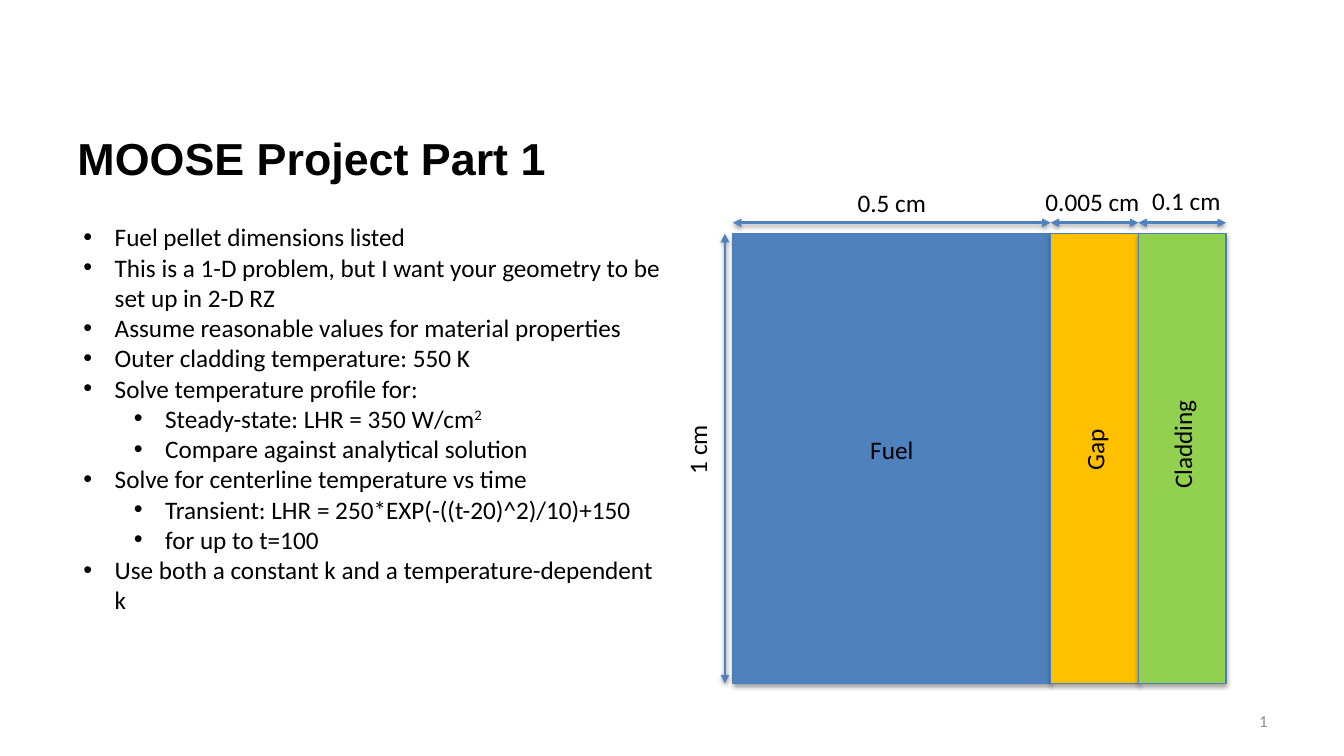
from dataclasses import dataclass

from lxml import etree
from pptx import Presentation
from pptx.dml.color import RGBColor
from pptx.enum.shapes import MSO_CONNECTOR, MSO_SHAPE
from pptx.enum.text import MSO_ANCHOR, PP_ALIGN
from pptx.oxml import parse_xml
from pptx.oxml.ns import nsdecls, qn
from pptx.util import Pt

PX = 9144
RECT = MSO_SHAPE.RECTANGLE
LINE = MSO_CONNECTOR.STRAIGHT
LEFT, CENTER, RIGHT = PP_ALIGN.LEFT, PP_ALIGN.CENTER, PP_ALIGN.RIGHT
TOP, MIDDLE = MSO_ANCHOR.TOP, MSO_ANCHOR.MIDDLE


@dataclass(frozen=True)
class Theme:
    ink: str = "000000"
    muted: str = "8C8C8C"
    fuel: str = "4F81BD"
    gap: str = "FFC000"
    clad: str = "92D050"
    edge: str = "4B7EBC"
    head: str = "Arial"
    body: str = "Calibri"
    title: int = 32
    text: int = 18
    small: int = 12


THEME = Theme()
POINTS = (
    (0, "Fuel pellet dimensions listed"),
    (0, "This is a 1-D problem, but I want your geometry to be set up in 2-D RZ"),
    (0, "Assume reasonable values for material properties"),
    (0, "Outer cladding temperature: 550 K"),
    (0, "Solve temperature profile for:"),
    (1, "Steady-state: LHR = 350 W/cm", "2"),
    (1, "Compare against analytical solution"),
    (0, "Solve for centerline temperature vs time"),
    (1, "Transient: LHR = 250*EXP(-((t-20)^2)/10)+150"),
    (1, "for up to t=100"),
    (0, "Use both a constant k and a temperature-dependent k"),
)
LAYERS = (
    ("Fuel", 315, THEME.fuel, 0, 426, "0.5 cm", 0, 181),
    ("Gap", 87, THEME.gap, 270, 426, "0.005 cm", -2, 180),
    ("Cladding", 87, THEME.clad, 270, 421, "0.1 cm", 4, 179),
)
WALL_X, WALL_Y, WALL_H = 727, 232, 446
LABEL_W, LABEL_H = 179, 40


def px(*sizes):
    return [size * PX for size in sizes]


def color(code):
    return RGBColor.from_string(code)


def write(para, text, size=THEME.text, face=THEME.body, ink=THEME.ink,
          bold=False, base=0):
    run = para.add_run()
    run.text = text
    font = run.font
    font.size, font.name, font.bold = Pt(size), face, bold
    font.color.rgb = color(ink)
    if base:
        font._element.set("baseline", str(base * 1000))


def add_box(slide, box, anchor=TOP, turn=0):
    shape = slide.shapes.add_textbox(*px(*box))
    shape.rotation = turn
    frame = shape.text_frame
    frame.word_wrap = True
    frame.vertical_anchor = anchor
    return frame


def add_text(slide, text, box, align=LEFT, anchor=TOP, turn=0, **style):
    para = add_box(slide, box, anchor, turn).paragraphs[0]
    para.alignment = align
    write(para, text, **style)


def add_label(slide, text, mid, top, turn=0):
    box = (round(mid - LABEL_W / 2), top, LABEL_W, LABEL_H)
    add_text(slide, text, box, align=CENTER, turn=turn)


def add_list(slide, points, box):
    frame = add_box(slide, box)
    for row, (level, text, *power) in enumerate(points):
        para = frame.add_paragraph() if row else frame.paragraphs[0]
        para.level = level
        props = para._p.get_or_add_pPr()
        left, hang = px(31 + 50 * level, -31)
        props.set("marL", str(left))
        props.set("indent", str(hang))
        etree.SubElement(props, qn("a:buFont"), typeface=THEME.head)
        etree.SubElement(props, qn("a:buChar"), char="•")
        write(para, text)
        for mark in power:
            write(para, mark, base=30)


def add_shade(shape, alpha, dist):
    shape._element.spPr.append(parse_xml(
        f'<a:effectLst {nsdecls("a")}>'
        f'<a:outerShdw blurRad="{Pt(3.1)}" dist="{Pt(dist)}" dir="5400000" '
        'rotWithShape="0"><a:srgbClr val="000000">'
        f'<a:alpha val="{alpha * 1000}"/></a:srgbClr>'
        '</a:outerShdw></a:effectLst>'))


def add_layer(slide, box, fill):
    shape = slide.shapes.add_shape(RECT, *px(*box))
    shape.fill.solid()
    shape.fill.fore_color.rgb = color(fill)
    shape.line.color.rgb = color(THEME.edge)
    shape.line.width = Pt(0.75)
    add_shade(shape, 35, 1.8)


def add_span(slide, *ends):
    span = slide.shapes.add_connector(LINE, *px(*ends))
    span.line.color.rgb = color(THEME.fuel)
    span.line.width = Pt(2)
    stroke = span.line._get_or_add_ln()
    for tag in ("a:headEnd", "a:tailEnd"):
        etree.SubElement(stroke, qn(tag), type="triangle")
    add_shade(span, 38, 1.6)


def add_wall(slide):
    left = WALL_X
    for name, wide, fill, turn, top, size, shift, rise in LAYERS:
        mid = left + wide / 2
        add_layer(slide, (left, WALL_Y, wide, WALL_H), fill)
        add_span(slide, left, 221, left + wide, 221)
        add_label(slide, name, mid, top, turn)
        add_label(slide, size, mid + shift, rise)
        left += wide
    add_span(slide, 719, WALL_Y + WALL_H, 719, WALL_Y)
    add_label(slide, "1 cm", 691, 426, 270)


def main():
    deck = Presentation()
    deck.slide_width, deck.slide_height = px(1333, 750)
    slide = deck.slides.add_slide(deck.slide_layouts[6])
    add_text(slide, "MOOSE Project Part 1", (67, 98, 1200, 117), anchor=MIDDLE,
             size=THEME.title, face=THEME.head, bold=True)
    add_list(slide, POINTS, (73, 215, 594, 404))
    add_wall(slide)
    add_text(slide, "1", (956, 695, 311, 40), align=RIGHT, anchor=MIDDLE,
             size=THEME.small, ink=THEME.muted)
    deck.save("out.pptx")


if __name__ == "__main__":
    main()
